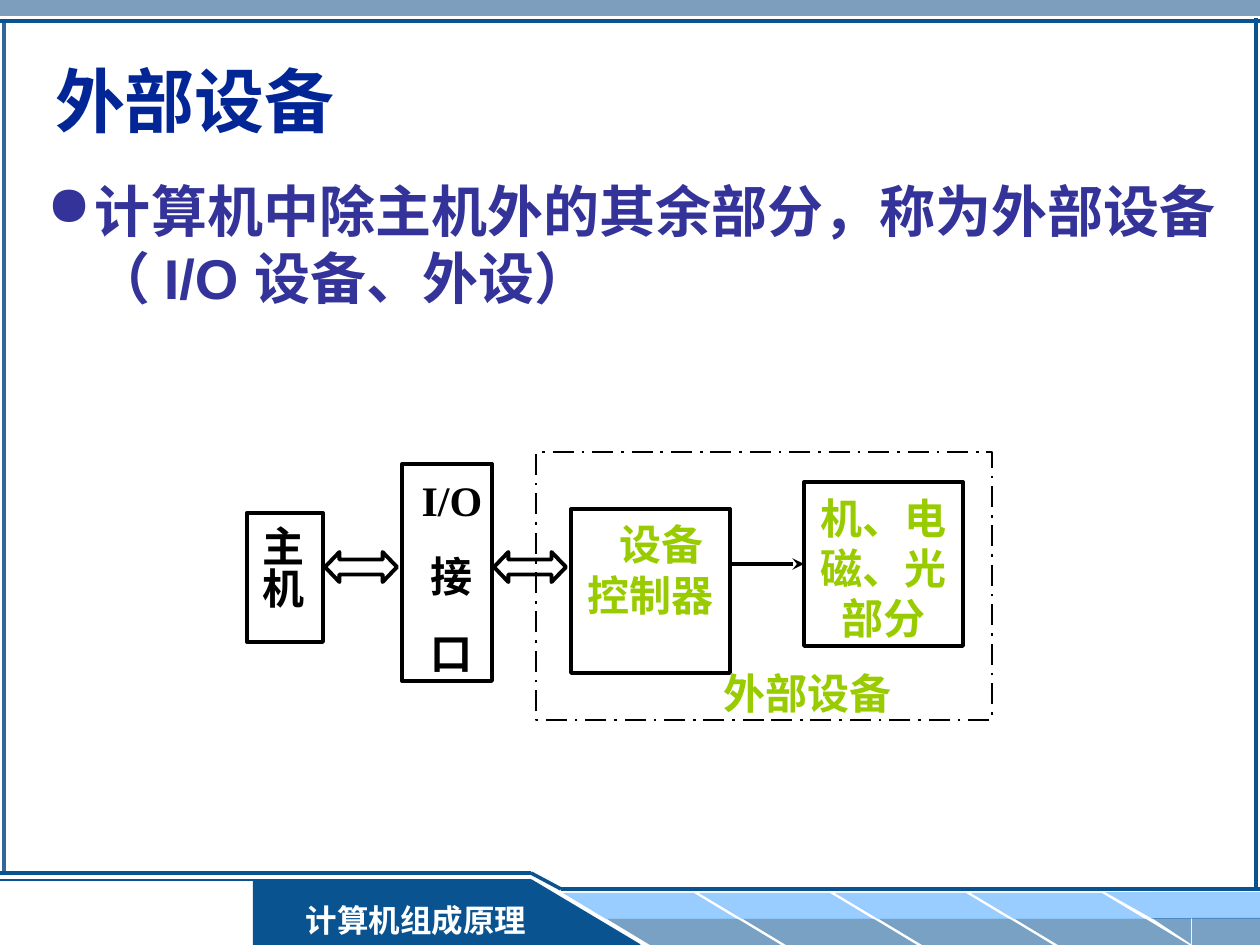
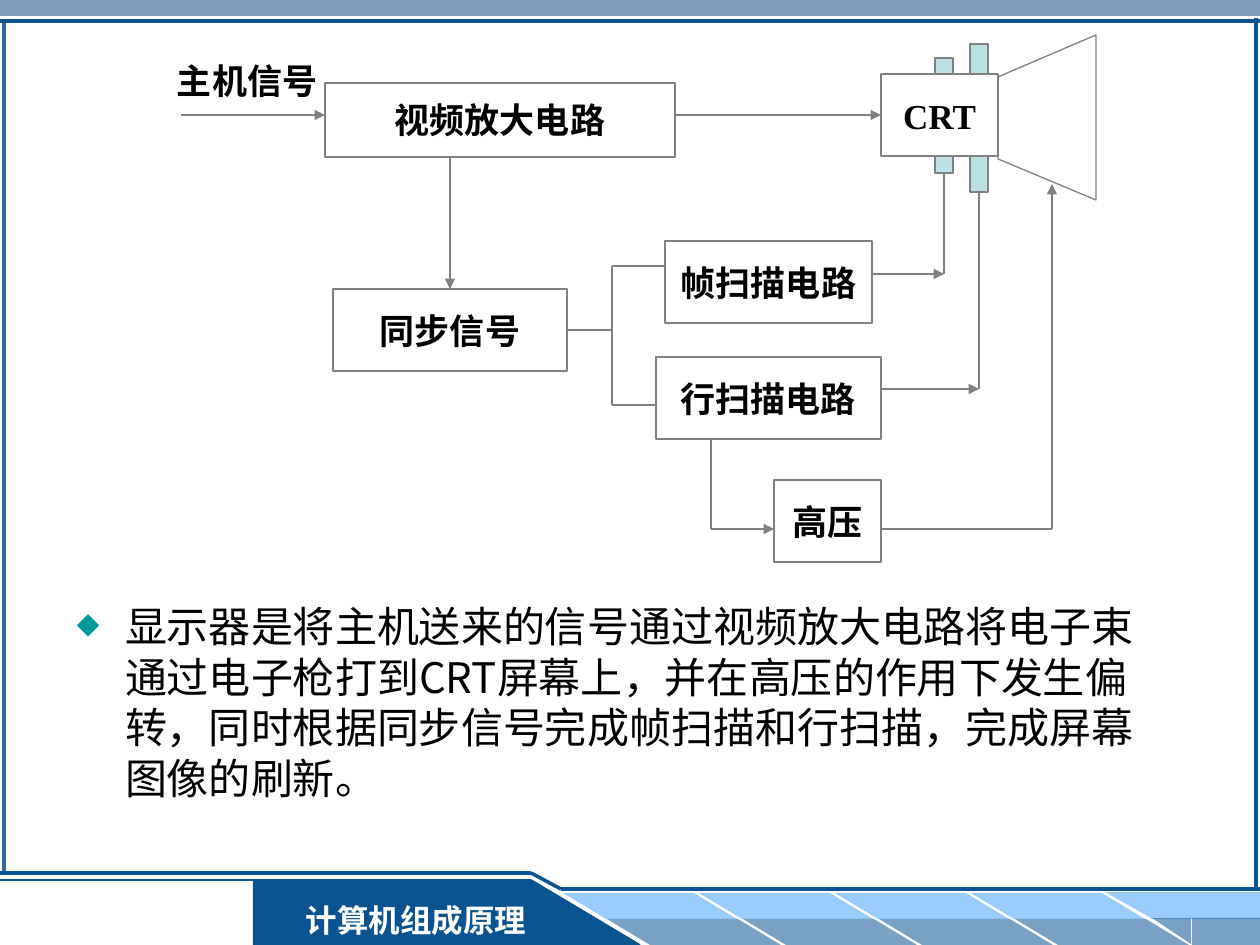
from dataclasses import dataclass

from lxml.etree import SubElement
from pptx import Presentation
from pptx.dml.color import RGBColor
from pptx.enum.dml import MSO_LINE
from pptx.enum.shapes import MSO_CONNECTOR, MSO_SHAPE
from pptx.enum.text import MSO_ANCHOR, PP_ALIGN
from pptx.oxml.ns import qn
from pptx.util import Emu, Inches, Pt

PX = Inches(1) / 126


def px(n):
    return Emu(round(n * PX))


@dataclass(frozen=True)
class Theme:
    navy: str = "095391"
    steel: str = "336699"
    sky: str = "99CCFF"
    title: str = "032697"
    body: str = "333399"
    green: str = "99CC00"
    teal: str = "009999"
    coil: str = "BBE0E3"
    gray: str = "808080"
    black: str = "000000"
    white: str = "FFFFFF"
    sans: str = "Arial"
    serif: str = "Times New Roman"
    cjk: str = "Noto Sans CJK SC"
    title_size: int = 40
    body_size: int = 32
    text_size: int = 24
    label_size: int = 20
    footer_size: int = 18


class Deck:
    def __init__(self, theme):
        self.t = theme
        self.prs = Presentation()
        self.prs.slide_width, self.prs.slide_height = px(1260), px(945)
        self.slide = None

    def new_slide(self, title=None):
        layout = self.prs.slide_layouts[5 if title else 6]
        self.slide = self.prs.slides.add_slide(layout)
        self.frame()
        if title:
            sp = self.slide.shapes.title
            sp.left, sp.top, sp.width, sp.height = px(42), px(55), px(1193), px(90)
            self.label(sp, title, self.t.title_size, self.t.title, self.t.sans,
                       align=PP_ALIGN.LEFT, anchor=MSO_ANCHOR.MIDDLE)

    def shape(self, x, y, w, h, kind=MSO_SHAPE.RECTANGLE, fill=None, alpha=None,
              line=None, weight=0.75, dash=None, adj=(), flip=False, turn=0):
        sp = self.slide.shapes.add_shape(kind, px(x), px(y), px(w), px(h))
        for i, value in enumerate(adj):
            sp.adjustments[i] = value
        if flip:
            sp._element.spPr.find(qn("a:xfrm")).set("flipH", "1")
        sp.rotation = turn
        self.paint(sp, fill, line, weight)
        if alpha:
            color = sp._element.spPr.find(qn("a:solidFill"))[0]
            SubElement(color, qn("a:alpha")).set("val", str(alpha * 1000))
        if dash:
            sp.line.dash_style = dash
        return sp

    def paint(self, sp, fill, line, weight):
        sp.shadow.inherit = False
        if fill:
            sp.fill.solid()
            sp.fill.fore_color.rgb = RGBColor.from_string(fill)
        else:
            sp.fill.background()
        if line:
            sp.line.color.rgb = RGBColor.from_string(line)
            sp.line.width = Pt(weight)
        else:
            sp.line.fill.background()

    def polygon(self, points, line):
        fb = self.slide.shapes.build_freeform(*points[0], scale=PX)
        fb.add_line_segments(points[1:], close=True)
        sp = fb.convert_to_shape()
        self.paint(sp, None, line, 0.75)

    def line(self, x1, y1, x2, y2, color=None, weight=0.75, tail=None,
             begin=None, end=None):
        c = self.slide.shapes.add_connector(
            MSO_CONNECTOR.STRAIGHT, px(x1), px(y1), px(x2), px(y2))
        if begin:
            c.begin_connect(*begin)
        if end:
            c.end_connect(*end)
        c.line.color.rgb = RGBColor.from_string(color or self.t.gray)
        c.line.width = Pt(weight)
        spPr = c._element.spPr
        if tail:
            SubElement(spPr.find(qn("a:ln")), qn("a:tailEnd")).set("type", tail)
        SubElement(spPr, qn("a:effectLst"))

    def label(self, sp, text, size, color, font=None, bold=True, align=PP_ALIGN.CENTER,
              anchor=MSO_ANCHOR.TOP, insets=(13, 6, 13, 6), gap=0, wrap=True,
              pitch=None, drop=0):
        tf = sp.text_frame
        tf.text = text
        tf.word_wrap = wrap
        tf.vertical_anchor = anchor
        left, top, right, bottom = insets
        tf.margin_left, tf.margin_right = px(left), px(right)
        tf.margin_top, tf.margin_bottom = px(top + drop), px(bottom)
        for i, p in enumerate(tf.paragraphs):
            p.alignment = align
            p.space_before = Pt(gap if i else 0)
            if pitch:
                p.line_spacing = Pt(pitch)
            for r in p.runs:
                r.font.size, r.font.bold = Pt(size), bold
                r.font.name = font or self.t.serif
                r.font.color.rgb = RGBColor.from_string(color)
                SubElement(r._r.rPr, qn("a:ea")).set("typeface", self.t.cjk)
        return tf

    def block(self, sp, text, size, color, **style):
        return self.label(sp, text, size, color, pitch=round(size * 1.2, 1),
                          drop=round(size * 0.16), **style)

    def textbox(self, x, y, w, h, text, size, color, **style):
        sp = self.slide.shapes.add_textbox(px(x), px(y), px(w), px(h))
        return self.block(sp, text, size, color, **style)

    def bullet(self, x, y, w, h, text, size, color, char, char_color, percent=100, **style):
        tf = self.textbox(x, y, w, h, text, size, color, align=PP_ALIGN.LEFT, **style)
        pPr = tf.paragraphs[0]._p.get_or_add_pPr()
        pPr.set("marL", str(px(48)))
        pPr.set("indent", str(-px(48)))
        SubElement(SubElement(pPr, qn("a:buClr")), qn("a:srgbClr")).set("val", char_color)
        SubElement(pPr, qn("a:buSzPct")).set("val", str(percent * 1000))
        SubElement(pPr, qn("a:buChar")).set("char", char)

    def box(self, x, y, w, h, text, fill=None):
        sp = self.shape(x, y, w, h, fill=fill, line=self.t.gray)
        self.label(sp, text, self.t.label_size, self.t.black,
                   anchor=MSO_ANCHOR.MIDDLE, wrap=False)
        return sp

    def frame(self):
        t = self.t
        triangle = MSO_SHAPE.RIGHT_TRIANGLE
        self.shape(0, 0, 1260, 16, fill=t.steel, alpha=63)
        self.line(4, 19, 4, 873, t.steel, 2)
        self.shape(253, 880, 278, 65, fill=t.navy)
        self.line(640, 945, 531, 880, t.navy, 1)
        self.line(531, 880, 0, 880, t.navy, 1.5)
        self.line(0, 873, 531, 873, t.navy, 2)
        for i in range(4):
            for x, y, fill, alpha in ((563, 893, t.sky, None), (607, 919, t.navy, 54)):
                self.shape(x + 136 * i, y, 174, 26, MSO_SHAPE.PARALLELOGRAM,
                           fill=fill, alpha=alpha, adj=(1.66,), flip=True)
        self.shape(1151, 892, 109, 27, fill=t.sky)
        self.shape(1105, 892, 48, 27, triangle, fill=t.sky, turn=180)
        self.shape(1192, 918, 68, 27, fill=t.navy, alpha=54)
        self.shape(1152, 918, 39, 26, triangle, fill=t.navy, alpha=54, turn=180)
        self.line(561, 889, 1260, 889, t.navy, 2)
        sp = self.shape(287, 892, 258, 50, fill=t.navy)
        self.block(sp, "计算机组成原理", t.footer_size, t.white)
        self.shape(530, 880, 109, 65, triangle, fill=t.navy)
        self.line(531, 873, 561, 889, t.navy, 2)
        self.line(0, 21, 1260, 21, t.navy, 2)
        self.line(1256, 18, 1256, 891, t.navy, 2)


def peripherals(d):
    t = d.t
    d.new_slide("外部设备")
    d.bullet(34, 165, 1201, 674, "计算机中除主机外的其余部分，称为外部设备（ I/O 设备、外设）",
             t.body_size, t.body, "●", t.body, font=t.sans)

    outline = dict(line=t.black, weight=2.25)
    host = d.shape(247, 513, 76, 129, **outline)
    tf = d.label(host, "主机", t.text_size, t.black, insets=(6, 13, 16, 13), pitch=28.8)
    tf._txBody.bodyPr.set("vert", "eaVert")
    controller = d.shape(571, 509, 159, 164, **outline)
    tf = d.block(controller, "设备\n控制器", t.text_size, t.green)
    tf.paragraphs[0]._p.get_or_add_pPr().set("marL", str(px(21)))
    device = d.shape(804, 482, 159, 164, **outline)
    d.block(device, "机、电\n磁、光\n部分", t.text_size, t.green)
    interface = d.shape(402, 464, 90, 217, **outline)
    d.block(interface, "I/O\n接\n口", t.text_size, t.black, insets=(18, 6, 8, 6), gap=15)
    d.shape(536, 452, 456, 268, line=t.black, weight=1.5, dash=MSO_LINE.LONG_DASH_DOT)
    d.textbox(664, 658, 287, 63, "外部设备", t.text_size, t.green)
    d.line(730, 564, 804, 564, t.black, 2.25, "stealth", end=(device, 1))
    for x in (494, 325):
        d.shape(x, 552, 72, 30, MSO_SHAPE.LEFT_RIGHT_ARROW, adj=(0.5, 0.48), **outline)


def display(d):
    t = d.t
    d.new_slide()
    frame_coil = d.shape(935, 58, 18, 115, fill=t.coil, line=t.gray)
    line_coil = d.shape(970, 44, 18, 148, fill=t.coil, line=t.gray)
    d.box(325, 83, 350, 74, "视频放大电路")
    sync = d.box(333, 289, 234, 82, "同步信号")
    d.box(665, 241, 207, 82, "帧扫描电路")
    d.box(656, 357, 225, 82, "行扫描电路")
    d.box(774, 480, 107, 82, "高压")
    crt = d.box(881, 74, 117, 82, "CRT", t.white)
    d.polygon([(1096, 35), (998, 77), (998, 159), (1096, 200)], t.gray)
    d.textbox(164, 50, 207, 55, "主机信号", t.label_size, t.black, align=PP_ALIGN.LEFT)

    arrow = "triangle"
    d.line(181, 115, 325, 115, tail=arrow)
    d.line(675, 115, 881, 115, tail=arrow, end=(crt, 1))
    d.line(450, 157, 450, 289, tail=arrow, end=(sync, 0))
    d.line(567, 330, 612, 330, begin=(sync, 3))
    d.line(612, 266, 612, 405)
    d.line(612, 266, 665, 266)
    d.line(612, 405, 656, 405)
    d.line(711, 439, 711, 529)
    d.line(711, 529, 774, 529, tail=arrow)
    d.line(881, 529, 1052, 529)
    d.line(1052, 529, 1052, 184, tail=arrow)
    d.line(979, 192, 979, 389, begin=(line_coil, 2))
    d.line(881, 389, 979, 389, tail=arrow)
    d.line(944, 173, 944, 274, begin=(frame_coil, 2))
    d.line(872, 274, 944, 274, tail=arrow)

    d.bullet(64, 591, 1091, 214,
             "显示器是将主机送来的信号通过视频放大电路将电子束通过电子枪打到CRT屏幕上，"
             "并在高压的作用下发生偏转，同时根据同步信号完成帧扫描和行扫描，完成屏幕图像的刷新。",
             t.text_size, t.black, "◆", t.teal, 70, font=t.cjk, bold=False)


def main():
    d = Deck(Theme())
    peripherals(d)
    display(d)
    d.prs.save("out.pptx")


if __name__ == "__main__":
    main()
